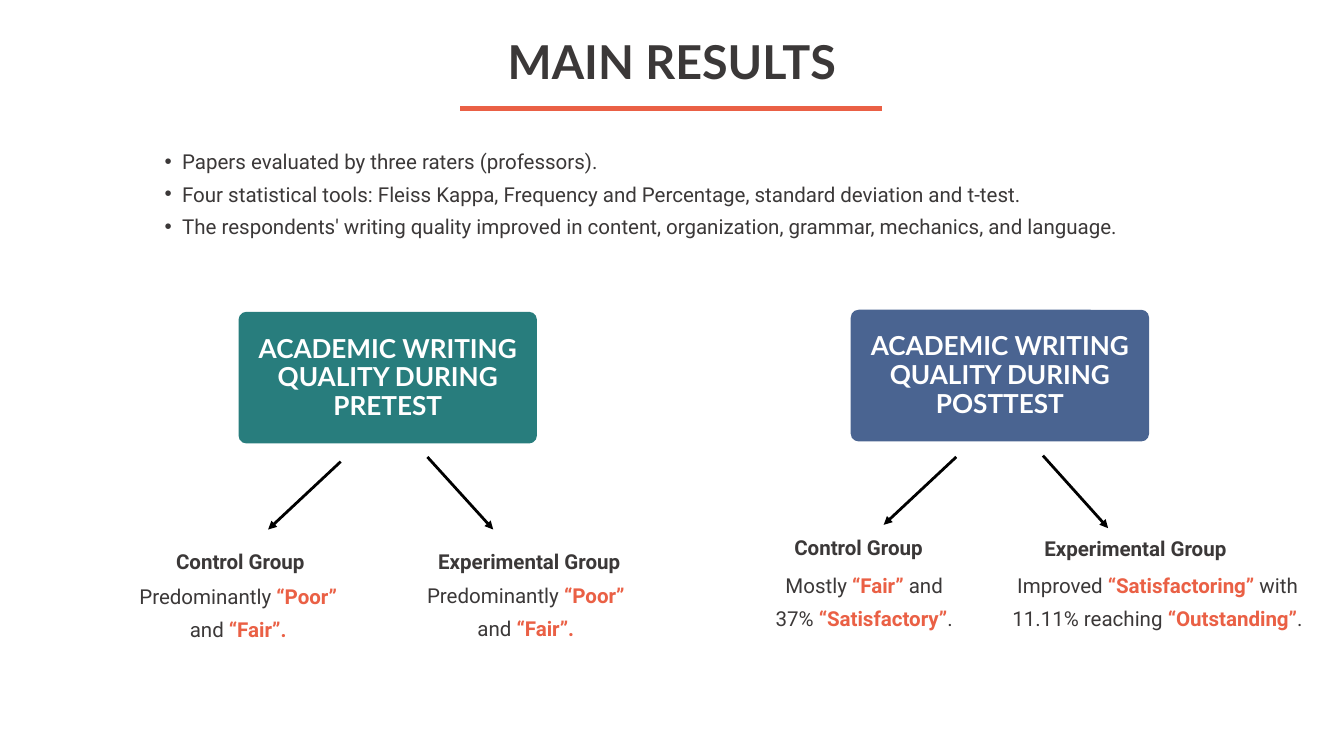
import pptx
import pptx.util
import pptx.dml.color
import pptx.enum.shapes
import pptx.enum.text
import pptx.oxml.ns
from lxml import etree

Pt = pptx.util.Pt
RGBColor = pptx.dml.color.RGBColor
PP_ALIGN = pptx.enum.text.PP_ALIGN
MSO_ANCHOR = pptx.enum.text.MSO_ANCHOR
qn = pptx.oxml.ns.qn

PX = 9144  # 100 px to the inch
DARK = RGBColor(0x3B, 0x38, 0x38)
ORANGE = RGBColor(0xEA, 0x60, 0x45)
TEAL = RGBColor(0x28, 0x7D, 0x7D)
BLUE = RGBColor(0x4A, 0x64, 0x91)
WHITE = RGBColor(0xFF, 0xFF, 0xFF)
BLACK = RGBColor(0, 0, 0)


def write(sp, lines, size, spacing, font="Roboto", color=DARK, bold=False,
          align=PP_ALIGN.CENTER, anchor=MSO_ANCHOR.TOP):
    """Fill a shape with paragraphs; pieces between bars are bold and orange."""
    tf = sp.text_frame
    tf.word_wrap = True
    tf.auto_size = pptx.enum.text.MSO_AUTO_SIZE.NONE
    tf.vertical_anchor = anchor
    tf.margin_left = tf.margin_top = tf.margin_right = tf.margin_bottom = 0
    for i, line in enumerate(lines):
        p = tf.paragraphs[0] if i == 0 else tf.add_paragraph()
        p.alignment = align
        p.line_spacing = Pt(spacing)
        for j, piece in enumerate(line.split("|")):
            accent = j % 2 == 1
            r = p.add_run()
            r.text = piece
            r.font.name = font
            r.font.size = Pt(size)
            r.font.bold = bold or accent
            r.font.color.rgb = ORANGE if accent else color


def add_line(x1, y1, x2, y2, color, width, arrow=False):
    ends = [v * PX for v in (x1, y1, x2, y2)]
    cxn = slide.shapes.add_connector(pptx.enum.shapes.MSO_CONNECTOR.STRAIGHT, *ends)
    cxn.line.color.rgb = color
    cxn.line.width = Pt(width)
    if arrow:
        ln = cxn.line._get_or_add_ln()
        etree.SubElement(ln, qn("a:tailEnd"), type="triangle")
    etree.SubElement(cxn._element.spPr, qn("a:effectLst"))


prs = pptx.Presentation()
prs.slide_width = 2000 * PX
prs.slide_height = 1125 * PX
slide = prs.slides.add_slide(prs.slide_layouts[5])

# Title and rule
title = slide.shapes.title
title.left, title.top, title.width, title.height = [v * PX for v in (678, 56, 644, 79)]
write(title, ["MAIN RESULTS"], 50, 55, font="Lato", bold=True)
add_line(685, 161, 1313, 161, ORANGE, 5.25)

# Findings
findings = slide.shapes.add_textbox(219 * PX, 209 * PX, 1738 * PX, 141 * PX)
write(findings, [
    "Papers evaluated by three raters (professors).",
    "Four statistical tools: Fleiss Kappa, Frequency and Percentage, "
    "standard deviation and t-test.",
    "The respondents' writing quality improved in content, organization, "
    "grammar, mechanics, and language.",
], 22, 35.2, align=PP_ALIGN.LEFT)
for p in findings.text_frame.paragraphs:
    pPr = p._p.get_or_add_pPr()
    pPr.set("marL", str(52 * PX))
    pPr.set("indent", str(-26 * PX))
    etree.SubElement(pPr, qn("a:buFont"), typeface="Arial")
    etree.SubElement(pPr, qn("a:buChar"), char="•")

# Test boxes: left, top, colour, test
for x, y, color, test in [(355, 464, TEAL, "PRETEST"), (1266, 461, BLUE, "POSTTEST")]:
    box = slide.shapes.add_shape(pptx.enum.shapes.MSO_SHAPE.ROUNDED_RECTANGLE,
                                 x * PX, y * PX, 444 * PX, 196 * PX)
    box.adjustments[0] = 0.06
    box.shadow.inherit = False
    box.fill.solid()
    box.fill.fore_color.rgb = color
    box.line.fill.background()
    write(box, ["ACADEMIC WRITING QUALITY DURING " + test], 28, 30.8, font="Lato",
          color=WHITE, bold=True, anchor=MSO_ANCHOR.MIDDLE)

# Groups: arrow, heading left and top, result left, top and width
groups = [
    ("Control Group", (507, 687, 399, 788), (112, 804), (201, 857, 307),
     "Predominantly |“Poor” |and| “Fair”."),
    ("Experimental Group", (636, 680, 734, 788), (542, 804), (629, 855, 307),
     "Predominantly |“Poor” |and| “Fair”."),
    ("Control Group", (1423, 680, 1315, 781), (1032, 784), (1138, 840, 296),
     "Mostly |“Fair”| and 37% |“Satisfactory”|."),
    ("Experimental Group", (1552, 678, 1649, 786), (1444, 786), (1488, 840, 469),
     "Improved |“Satisfactoring”| with 11.11% reaching |“Outstanding”|."),
]
for name, arrow, (head_x, head_y), (x, y, w), result in groups:
    add_line(*arrow, BLACK, 3, arrow=True)
    heading = slide.shapes.add_textbox(head_x * PX, head_y * PX, 491 * PX, 45 * PX)
    write(heading, [name], 22, 35.2, bold=True)
    body = slide.shapes.add_textbox(x * PX, y * PX, w * PX, 93 * PX)
    write(body, [result], 22, 35.2)

prs.save("out.pptx")
